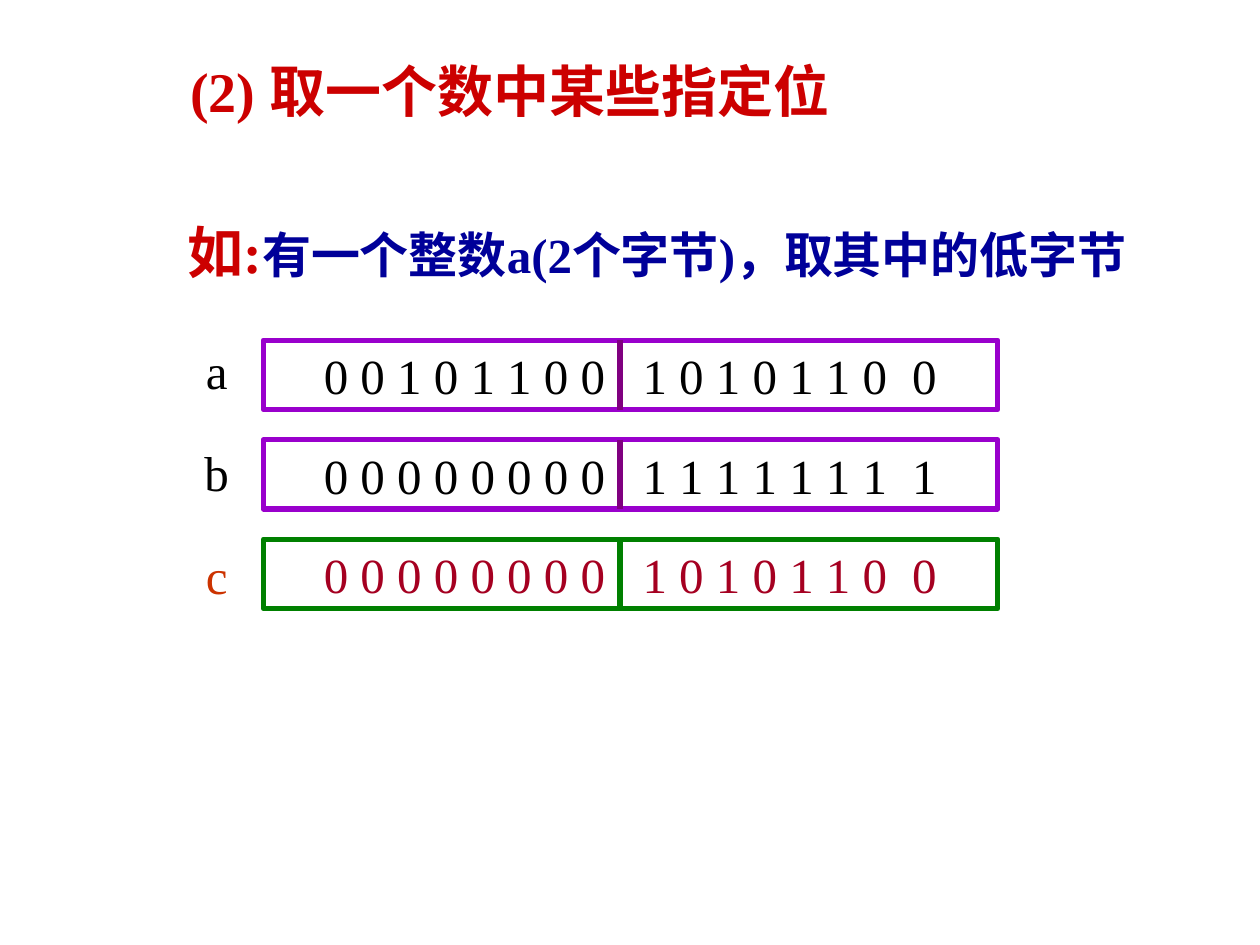
from lxml.etree import SubElement
from pptx import Presentation
from pptx.dml.color import RGBColor
from pptx.enum.shapes import MSO_CONNECTOR, MSO_SHAPE
from pptx.enum.text import MSO_ANCHOR, PP_ALIGN
from pptx.oxml.ns import qn
from pptx.util import Inches, Pt

RECT, LINE = MSO_SHAPE.RECTANGLE, MSO_CONNECTOR.STRAIGHT
TOP, MID = MSO_ANCHOR.TOP, MSO_ANCHOR.MIDDLE
LEFT, CENTER = PP_ALIGN.LEFT, PP_ALIGN.CENTER

THEME = {
    "font": "Times New Roman", "big": 32, "body": 28, "line": 3,
    "red": "CC0000", "blue": "000099", "black": "000000",
    "orange": "CC3300", "wine": "A50021",
    "violet": "9900CC", "purple": "800080", "green": "008000",
}

TITLE = [("(2) 取一个数中某些指定位", "big", "red")]
TASK = [("如:", "big", "red"),
        ("有一个整数a(2个字节)，取其中的低字节", "body", "blue")]
ROWS = [
    ("a", "black", "0 0 1 0 1 1 0 0\t1 0 1 0 1 1 0\t0", "black", "violet", "purple"),
    ("b", "black", "0 0 0 0 0 0 0 0\t1 1 1 1 1 1 1\t1", "black", "violet", "purple"),
    ("c", "orange", "0 0 0 0 0 0 0 0\t1 0 1 0 1 1 0\t0", "wine", "green", "green"),
]
ROW_X, ROW_Y, ROW_W, ROW_H, STEP = 2.09, 2.7, 5.83, 0.55, 0.79
SPLIT, INSET, STOPS = 4.92, 0.48, (2.53, 4.67)


def color(key):
    return RGBColor.from_string(THEME[key])


def assign(item, **values):
    for key, value in values.items():
        setattr(item, key, value)


def write(para, runs, bold=False, **values):
    assign(para, **values)
    for text, size, ink in runs:
        run = para.add_run()
        run.text = text
        assign(run.font, name=THEME["font"], size=Pt(THEME[size]), bold=bold)
        run.font.color.rgb = color(ink)


def add_box(slide, area, **values):
    frame = slide.shapes.add_textbox(*map(Inches, area)).text_frame
    assign(frame, **values)
    return frame


def add_head(slide, area, runs, indent, anchor, space):
    frame = add_box(slide, area, word_wrap=True, vertical_anchor=anchor)
    para = frame.paragraphs[0]
    props = para._p.get_or_add_pPr()
    props.set("marL", "0")
    props.set("indent", str(Inches(indent)))
    write(para, runs, bold=True, line_spacing=space)


def add_row(slide, top, bits, ink, edge, bar):
    box = slide.shapes.add_shape(RECT, *map(Inches, (ROW_X, top, ROW_W, ROW_H)))
    box.shadow.inherit = False
    box.fill.background()
    box.line.color.rgb = color(edge)
    box.line.width = Pt(THEME["line"])
    frame = box.text_frame
    assign(frame, word_wrap=True, vertical_anchor=MID, margin_left=Inches(INSET))
    para = frame.paragraphs[0]
    tabs = SubElement(para._p.get_or_add_pPr(), qn("a:tabLst"))
    for stop in STOPS:
        SubElement(tabs, qn("a:tab"), pos=str(Inches(stop)), algn="l")
    write(para, [(bits, "body", ink)], alignment=LEFT)

    ends = map(Inches, (SPLIT, top, SPLIT, top + ROW_H))
    split = slide.shapes.add_connector(LINE, *ends)
    split.line.color.rgb = color(bar)
    split.line.width = Pt(THEME["line"])
    SubElement(split._element.spPr, qn("a:effectLst"))


def main():
    deck = Presentation()
    assign(deck, slide_width=Inches(10), slide_height=Inches(7.5))
    slide = deck.slides.add_slide(deck.slide_layouts[6])

    add_head(slide, (1.3, 0.44, 5.59, 0.55), TITLE, 0.11, MID, 1.0)
    add_head(slide, (1.06, 1.62, 8.03, 0.71), TASK, 0.33, TOP, 1.1)

    names = add_box(slide, (1.52, 2.65, 0.4, 2.17), word_wrap=False)
    for i, (name, tint, *row) in enumerate(ROWS):
        add_row(slide, ROW_Y + i * STEP, *row)
        para = names.add_paragraph() if i else names.paragraphs[0]
        write(para, [(name, "body", tint)], alignment=CENTER,
              space_before=Pt(25 if i else 0))

    deck.save("out.pptx")


if __name__ == "__main__":
    main()
